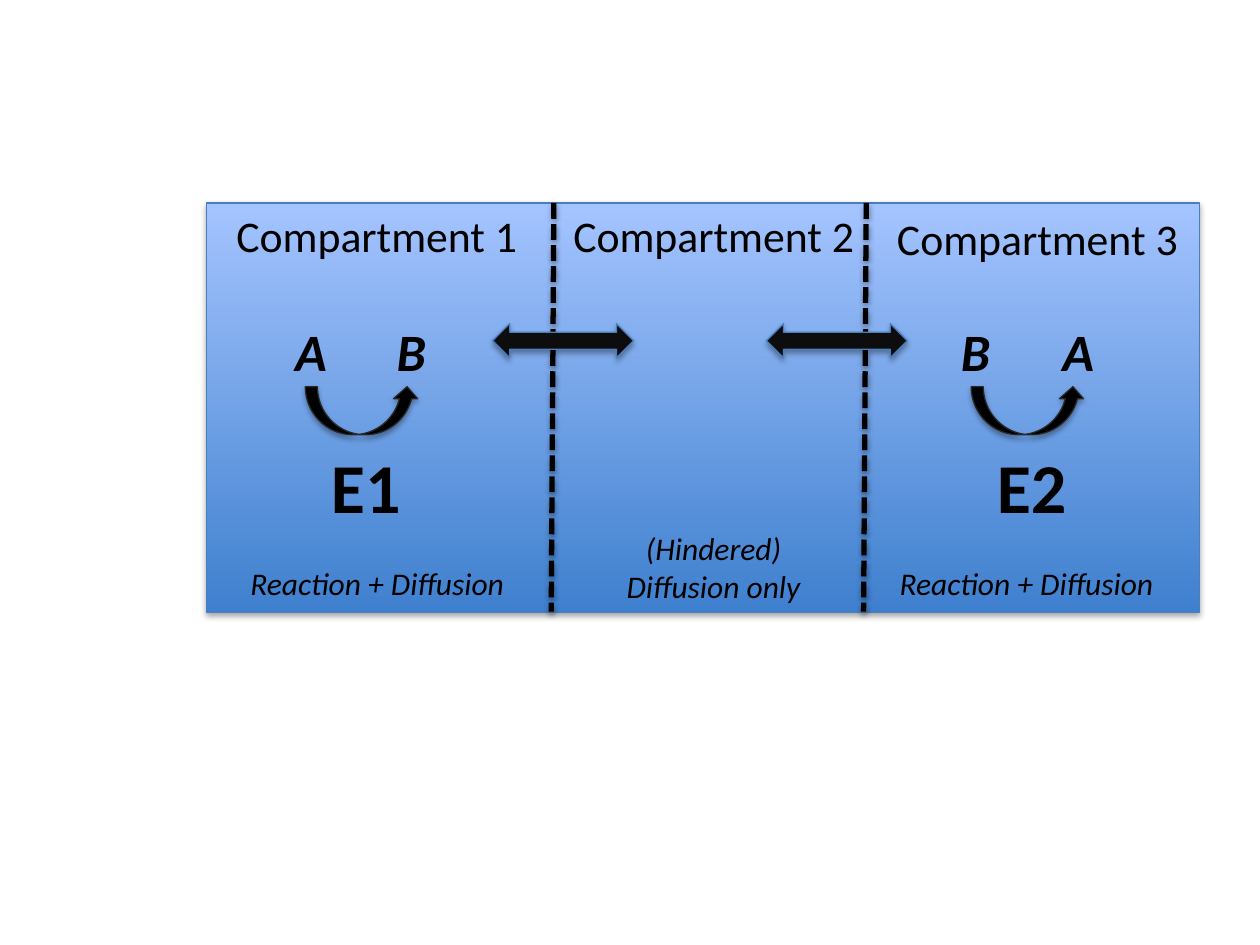
from pptx import Presentation
from pptx.dml.color import RGBColor
from pptx.enum import dml, shapes, text
from pptx.oxml.xmlchemy import OxmlElement
from pptx.util import Pt

COLORS = {"black": "000000", "exchange": "0D0D0D", "curve_edge": "262626",
          "edge": "4B7EBC", "deep_blue": "3F80CE", "light_blue": "A4C4FF"}
KIND = shapes.MSO_SHAPE

prs = Presentation()
prs.slide_width, prs.slide_height = Pt(720), Pt(540)
slide = prs.slides.add_slide(prs.slide_layouts[6])


def add_block(kind, box, edge, fill=None):
    """Add a preset shape that keeps the soft shadow of the theme."""
    block = slide.shapes.add_shape(kind, *map(Pt, box))
    block.line.color.rgb = RGBColor.from_string(COLORS[edge])
    block.line.width = Pt(0.75)
    if fill:
        block.fill.solid()
        block.fill.fore_color.rgb = RGBColor.from_string(COLORS[fill])
    return block


def add_label(words, box, size, bold=False, italic=False, align=text.PP_ALIGN.LEFT):
    frame = slide.shapes.add_textbox(*map(Pt, box)).text_frame
    frame.word_wrap = False
    frame.auto_size = text.MSO_AUTO_SIZE.SHAPE_TO_FIT_TEXT
    frame.text = words
    for paragraph in frame.paragraphs:
        paragraph.alignment = align
        font = paragraph.font
        font.name, font.size, font.bold, font.italic = "Calibri", Pt(size), bold, italic
        font.color.rgb = RGBColor.from_string(COLORS["black"])
    return frame


# Vessel with a vertical gradient, dark at the bottom
vessel = add_block(KIND.RECTANGLE, (118, 116, 567.5, 234), "edge")
vessel.fill.gradient()
vessel.fill.gradient_angle = 90
for stop, name in zip(vessel.fill.gradient_stops, ("deep_blue", "light_blue")):
    stop.color.rgb = RGBColor.from_string(COLORS[name])

# Dashed membranes, each crossed by an exchange arrow
for membrane_x, exchange_x in ((316.5, 281.5), (495, 438)):
    membrane = slide.shapes.add_connector(
        shapes.MSO_CONNECTOR.STRAIGHT, Pt(membrane_x), Pt(116), Pt(membrane_x - 1.5), Pt(349.5))
    membrane.line.color.rgb = RGBColor.from_string(COLORS["black"])
    membrane.line.width = Pt(3)
    membrane.line.dash_style = dml.MSO_LINE.SQUARE_DOT
    add_block(KIND.LEFT_RIGHT_ARROW, (exchange_x, 185, 80.5, 19.5), "edge", "exchange")

# Enzyme reactions, the product set at a tab stop
for left, enzyme, substrate, product in ((161.5, "E1", "A", "B"), (542, "E2", "B", "A")):
    add_label(enzyme, (left + 20.5, 250, 54.5, 55.5), 40, bold=True)
    add_block(KIND.CURVED_UP_ARROW, (left + 13, 221, 65, 27.5), "curve_edge", "black")
    species = add_label(f"{substrate}\t{product}", (left, 178.5, 98.5, 44), 30,
                        bold=True, italic=True)
    species.word_wrap = True
    tabs = OxmlElement("a:tabLst")
    tab = OxmlElement("a:tab")
    tab.set("pos", str(Pt(58)))
    tab.set("algn", "l")
    tabs.append(tab)
    species.paragraphs[0]._p.get_or_add_pPr().insert_element_before(tabs, "a:defRPr", "a:extLst")

# Compartment headings
for number, (left, top) in enumerate(((128, 116), (320.5, 116), (505.5, 117.5)), 1):
    add_label(f"Compartment {number}", (left, top, 177, 37.5), 25)

# Transport processes
for left in (136, 507):
    add_label("Reaction + Diffusion", (left, 319, 165.5, 29), 18, italic=True)
add_label("(Hindered)\nDiffusion only", (348, 299, 119.5, 51), 18, italic=True,
          align=text.PP_ALIGN.CENTER)

prs.save("out.pptx")
